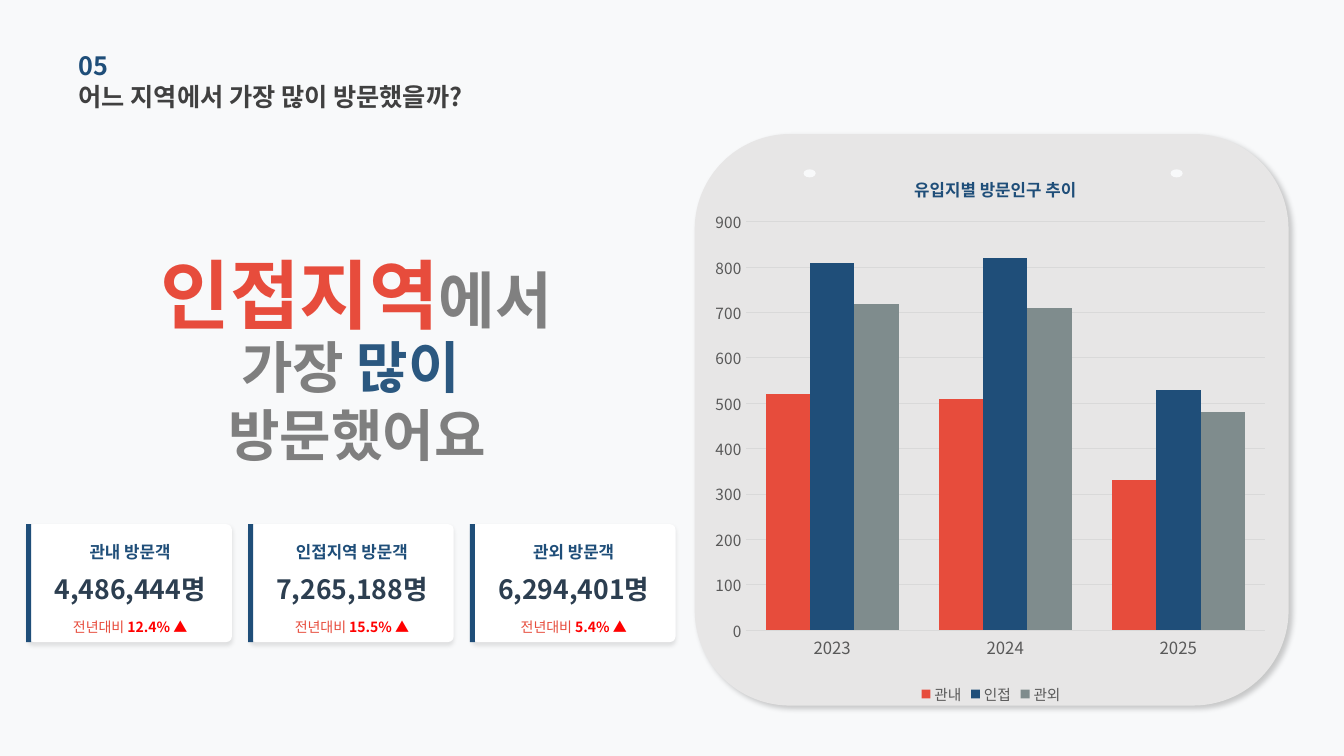
import pptx
import pptx.chart.data
import pptx.dml.color
import pptx.enum.chart
import pptx.enum.shapes
import pptx.enum.text
import pptx.oxml
import pptx.oxml.ns
import pptx.util

Inches = pptx.util.Inches
Pt = pptx.util.Pt
SHAPE = pptx.enum.shapes.MSO_SHAPE
ALIGN = pptx.enum.text.PP_ALIGN
TICK_MARK = pptx.enum.chart.XL_TICK_MARK

FONT = "Noto Sans CJK KR"
COLORS = {
    "background": "F8F9FA", "panel": "E7E6E6", "white": "FFFFFF",
    "navy": "1F4E79", "blue": "2B5880", "ink": "2C3E50", "heading": "404040",
    "red": "E74C3C", "rise": "FF0000", "gray": "808080", "mid gray": "7F7F7F",
    "slate": "7F8C8D", "label": "595959", "grid": "D9D9D9", "shadow": "000000",
}


def rgb(color):
    return pptx.dml.color.RGBColor.from_string(COLORS[color])


def set_layout(element, **fractions):
    """Place a chart part by fractions of the chart's width and height."""
    qn = pptx.oxml.ns.qn
    old = element.find(qn("c:layout"))
    if old is not None:
        element.remove(old)
    inner = '<c:layoutTarget val="inner"/>' if "w" in fractions else ""
    modes = "".join(f'<c:{key}Mode val="edge"/>' for key in "xy")
    sizes = "".join(f'<c:{key} val="{value}"/>' for key, value in fractions.items())
    layout = pptx.oxml.parse_xml(
        f'<c:layout {pptx.oxml.ns.nsdecls("c")}><c:manualLayout>'
        f"{inner}{modes}{sizes}</c:manualLayout></c:layout>")
    text = element.find(qn("c:tx"))
    if text is not None:
        text.addnext(layout)
    else:
        element.insert(0, layout)


class VisitorSlide:
    def __init__(self, presentation):
        self.slide = presentation.slides.add_slide(presentation.slide_layouts[5])
        self.slide.background.fill.solid()
        self.slide.background.fill.fore_color.rgb = rgb("background")

    def style(self, font, size=None, color=None, bold=None):
        """Format a font, naming the typeface for Latin and Korean text alike."""
        if size:
            font.size = Pt(size)
        if color:
            font.color.rgb = rgb(color)
        if bold is not None:
            font.bold = bold
        font.name = FONT
        latin = font._rPr.find(pptx.oxml.ns.qn("a:latin"))
        latin.addnext(pptx.oxml.parse_xml(
            f'<a:ea {pptx.oxml.ns.nsdecls("a")} typeface="{FONT}"/>'))

    def fill_text(self, holder, lines, align):
        """Each line is a list of (text, size, color, bold) runs."""
        frame = holder.text_frame
        frame.word_wrap = True
        frame.auto_size = pptx.enum.text.MSO_AUTO_SIZE.NONE
        frame.vertical_anchor = pptx.enum.text.MSO_ANCHOR.MIDDLE
        frame.margin_left = frame.margin_right = 0
        frame.margin_top = frame.margin_bottom = 0
        for index, line in enumerate(lines):
            paragraph = frame.add_paragraph() if index else frame.paragraphs[0]
            paragraph.alignment = align
            if len(line) == 1:
                self.style(paragraph.font, *line[0][1:])
            for text, *look in line:
                run = paragraph.add_run()
                run.text = text
                if len(line) > 1:
                    self.style(run.font, *look)

    def title(self, left, top, width, height, line):
        heading = self.slide.shapes.title
        heading.left, heading.top = Inches(left), Inches(top)
        heading.width, heading.height = Inches(width), Inches(height)
        self.fill_text(heading, [line], ALIGN.LEFT)

    def text(self, left, top, width, height, lines, align=ALIGN.CENTER):
        box = self.slide.shapes.add_textbox(
            Inches(left), Inches(top), Inches(width), Inches(height))
        self.fill_text(box, lines, align)

    def shape(self, kind, left, top, width, height, color, corner=None, shadow=None):
        """shadow is (opacity percent, blur points, distance points, degrees)."""
        shape = self.slide.shapes.add_shape(
            kind, Inches(left), Inches(top), Inches(width), Inches(height))
        shape.fill.solid()
        shape.fill.fore_color.rgb = rgb(color)
        shape.line.fill.background()
        shape.shadow.inherit = False
        if corner is not None:
            shape.adjustments[0] = corner
        if shadow:
            opacity, blur, distance, degrees = shadow
            effects = shape._element.spPr.find(pptx.oxml.ns.qn("a:effectLst"))
            effects.append(pptx.oxml.parse_xml(
                f'<a:outerShdw {pptx.oxml.ns.nsdecls("a")} blurRad="{Pt(blur)}" '
                f'dist="{Pt(distance)}" dir="{degrees * 60000}" algn="ctr" '
                f'rotWithShape="0"><a:srgbClr val="{COLORS["shadow"]}">'
                f'<a:alpha val="{opacity * 1000}"/></a:srgbClr></a:outerShdw>'))

    def card(self, left, label, visitors, growth):
        top, width, height = 5.2, 2.02, 1.17
        self.shape(SHAPE.ROUNDED_RECTANGLE, left, top, width, height, "white",
                   corner=0.048, shadow=(10, 3, 2, 90))
        self.shape(SHAPE.RECTANGLE, left - 0.02, top, 0.05, height, "navy")
        self.text(left, 5.36, width, 0.22, [[(label, 12, "navy", True)]])
        self.text(left, 5.67, width, 0.34, [[(visitors, 19, "ink", True)]])
        self.text(left, 6.12, width, 0.2, [
            [("전년대비 ", 10, "red", False), (f"{growth} ▲", 10, "rise", True)]])

    def column_chart(self, left, top, width, height, title, years, series):
        """series maps each name to its color and its values."""
        data = pptx.chart.data.CategoryChartData()
        data.categories = years
        for name, (_, values) in series.items():
            data.add_series(name, values)
        chart = self.slide.shapes.add_chart(
            pptx.enum.chart.XL_CHART_TYPE.COLUMN_CLUSTERED,
            Inches(left), Inches(top), Inches(width), Inches(height), data).chart
        self.style(chart.font, 10, "label")

        chart.has_title = True
        heading = chart.chart_title.text_frame.paragraphs[0]
        self.style(heading.font, 12, "navy", True)
        heading.add_run().text = title
        set_layout(chart.chart_title._element, x=0.36, y=0.04)
        set_layout(chart._chartSpace.chart.plotArea, x=0.07, y=0.13, w=0.91, h=0.73)

        chart.has_legend = True
        chart.legend.position = pptx.enum.chart.XL_LEGEND_POSITION.BOTTOM
        chart.legend.include_in_layout = False
        self.style(chart.legend.font, 10.5, "label")

        plot = chart.plots[0]
        plot.gap_width, plot.overlap = 90, 0
        plot.vary_by_categories = False
        for columns, (color, _) in zip(plot.series, series.values()):
            columns.format.fill.solid()
            columns.format.fill.fore_color.rgb = rgb(color)
            columns.invert_if_negative = False

        year_axis, visitor_axis = chart.category_axis, chart.value_axis
        visitor_axis.minimum_scale, visitor_axis.maximum_scale = 0, 900
        visitor_axis.major_unit = 100
        for axis, size in ((year_axis, 12), (visitor_axis, 11)):
            axis.major_tick_mark = axis.minor_tick_mark = TICK_MARK.NONE
            self.style(axis.tick_labels.font, size, "label")
        visitor_axis.format.line.fill.background()
        for line in (year_axis.format.line, visitor_axis.major_gridlines.format.line):
            line.color.rgb = rgb("grid")
            line.width = Pt(0.75)


def main():
    presentation = pptx.Presentation()
    presentation.slide_width = Inches(13.33)
    presentation.slide_height = Inches(7.5)
    page = VisitorSlide(presentation)

    page.text(0.78, 0.44, 4.52, 0.41, [[("05", 18, "navy", True)]], ALIGN.LEFT)
    page.title(0.78, 0.75, 5.28, 0.41,
               [("어느 지역에서 가장 많이 방문했을까?", 18, "heading", True)])

    page.text(1.39, 2.67, 4.29, 0.48, [
        [("인접지역", 54, "red", True), ("에서", 44, "gray", True)]])
    page.text(0.78, 3.55, 5.52, 0.84, [
        [("가장", 40, "mid gray", True), (" 많이 ", 40, "blue", True)],
        [("방문했어요", 40, "mid gray", True)]])

    cards = [("관내 방문객", "4,486,444명", "12.4%"),
             ("인접지역 방문객", "7,265,188명", "15.5%"),
             ("관외 방문객", "6,294,401명", "5.4%")]
    for index, card in enumerate(cards):
        page.card(0.28 + 2.2 * index, *card)

    page.shape(SHAPE.ROUNDED_RECTANGLE, 6.89, 1.33, 5.89, 5.67, "panel",
               shadow=(20, 4, 3, 45))
    for hole_left in (7.97, 11.61):
        page.shape(SHAPE.OVAL, hole_left, 1.68, 0.12, 0.08, "background")
    page.column_chart(
        7, 1.48, 5.66, 5.55, "유입지별 방문인구 추이", ["2023", "2024", "2025"],
        {"관내": ("red", (520, 510, 330)),
         "인접": ("navy", (810, 820, 530)),
         "관외": ("slate", (720, 710, 480))})

    presentation.save("out.pptx")


if __name__ == "__main__":
    main()
